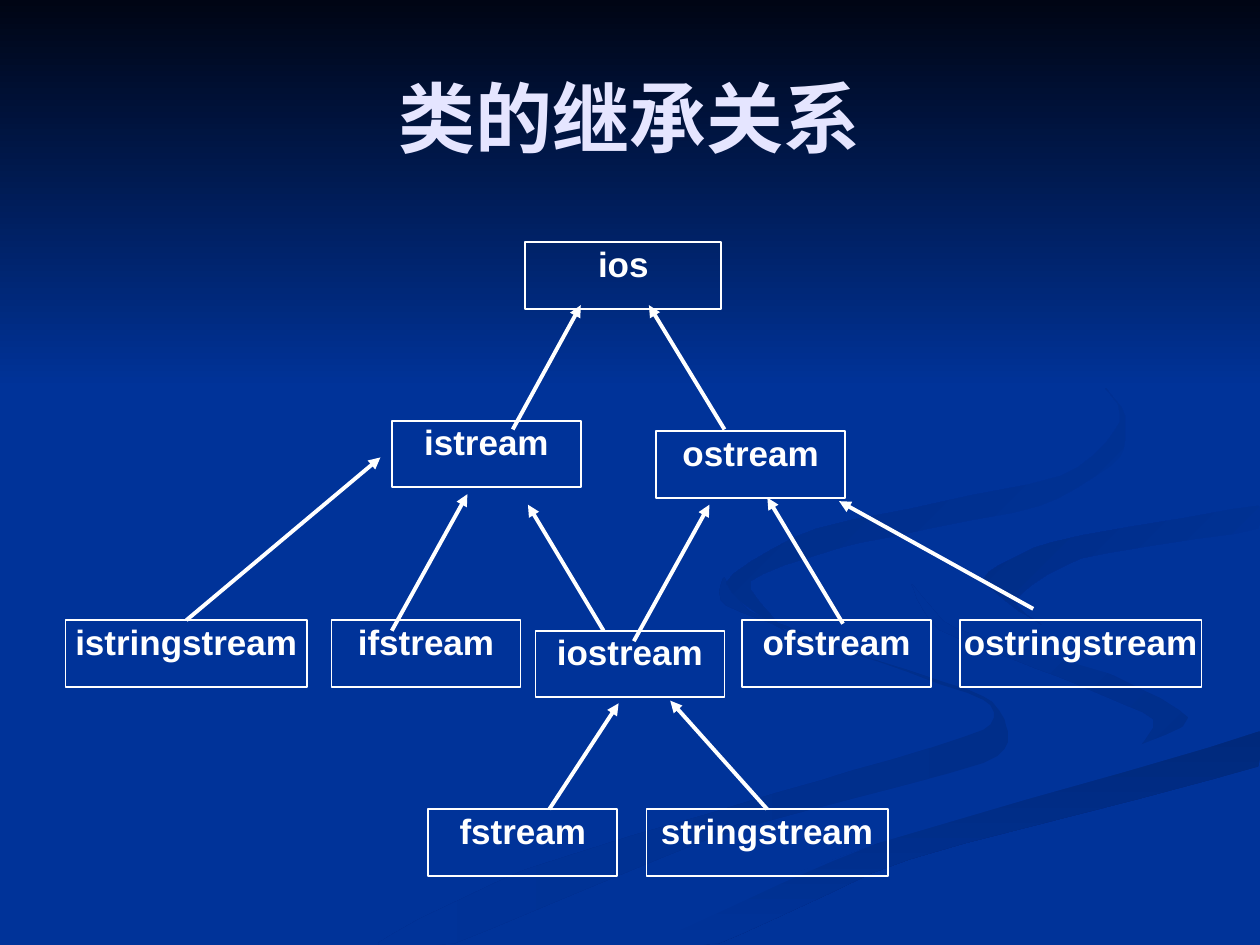
from lxml.etree import SubElement
from pptx import Presentation
from pptx.dml.color import RGBColor
from pptx.enum.shapes import MSO_CONNECTOR as Connector, MSO_SHAPE as Shape
from pptx.enum.text import MSO_ANCHOR as Anchor, PP_ALIGN as Align
from pptx.oxml.ns import qn
from pptx.util import Pt

COLORS = {
    "blue": "003399", "night": "000514", "title": "E5E5FF", "white": "FFFFFF",
    "shade1": "002E8A", "shade2": "00297C", "shade3": "002C85", "shade4": "002B81",
}

# Gradient colours, clockwise angle and guide points of each ribbon, back to front
RIBBONS = [
    (("shade1", "blue"), 180, [
        (562, 398), (491, 374), (428, 349), (414, 330), (415, 346), (489, 374),
        (562, 400), (562, 417), (469, 446), (300, 497), (216, 539), (260, 539),
        (406, 479), (562, 436), (576, 418)]),
    (("shade1", "blue"), 225, [
        (679, 410), (626, 382), (546, 359), (521, 334), (537, 360), (603, 386),
        (659, 411), (644, 436)]),
    (("shade2", "blue"), 90, [
        (362, 539), (411, 539), (520, 491), (719, 438), (719, 418), (550, 466),
        (454, 499)]),
    (("blue", "blue"), 0, [
        (522, 334), (558, 362), (662, 394), (679, 414), (562, 460), (343, 539),
        (374, 538), (501, 482), (719, 418), (719, 387), (611, 362), (563, 331),
        (601, 310), (719, 289), (719, 279), (554, 307)]),
    (("blue", "shade3"), 225, [
        (562, 331), (595, 357), (580, 343), (618, 319), (719, 302), (719, 289),
        (601, 310)]),
    (("blue", "shade4"), 225, [
        (492, 310), (594, 289), (640, 261), (641, 233), (607, 198), (549, 168),
        (626, 215), (640, 241), (606, 272), (467, 302), (415, 333), (448, 360),
        (429, 332)]),
]

# Left and top of each class inside the diagram
CLASSES = {
    "ios": (262.7, 0),
    "istream": (186.5, 102),
    "ostream": (337.5, 108),
    "ifstream": (152, 216),
    "ofstream": (386.6, 216),
    "iostream": (268.5, 222),
    "fstream": (207.3, 324),
    "istringstream": (0, 216),
    "ostringstream": (511.1, 216),
    "stringstream": (331.9, 324),
}
CLASS_HEIGHT = 38

# Start (a point, or the class whose top middle it leaves) and end of each arrow
ARROWS = [
    ((255.5, 107), (294.4, 36)),
    ((376.5, 107), (333.3, 36)),
    ((186.4, 222), (229.6, 144)),
    ((324.7, 228), (367.9, 150)),
    ((444.2, 218), (401, 146)),
    ((307.4, 222), (264.2, 150)),
    ((276.4, 324), (316, 263.5)),
    ("istringstream", (179.9, 123)),
    ((552.9, 209.5), (442, 148)),
    ("stringstream", (345.5, 262)),
]


def color(name):
    return RGBColor.from_string(COLORS[name])


def smooth_outline(points, right, bottom, steps=5, tension=0.3):
    """Return a closed Hermite curve through the points, kept inside the limits."""
    outline = []
    count = len(points)
    for index in range(count):
        before, start, end, after = (points[(index + k) % count] for k in (-1, 0, 1, 2))
        for step in range(steps):
            t = step / steps
            ease = t * t * (3 - 2 * t)
            leave, arrive = t * (1 - t) ** 2, t * t * (t - 1)
            x, y = (a + (b - a) * ease + tension * (leave * (b - p) + arrive * (n - a))
                    for p, a, b, n in zip(before, start, end, after))
            outline.append((min(x, right), min(y, bottom)))
    return outline


def fill_gradient(shape, names, angle):
    """Fill a borderless shape with two colours; the angle runs clockwise."""
    shape.shadow.inherit = False
    shape.line.fill.background()
    shape.fill.gradient()
    shape.fill.gradient_angle = (360 - angle) % 360
    for stop, name in zip(shape.fill.gradient_stops, names):
        stop.color.rgb = color(name)


def add_text(frame, text, font_name, size, color_name):
    paragraph = frame.paragraphs[0]
    paragraph.alignment = Align.CENTER
    run = paragraph.add_run()
    run.text = text
    run.font.name = font_name
    run.font.size = Pt(size)
    run.font.bold = True
    run.font.color.rgb = color(color_name)


def draw_backdrop(slide, left, top, width, height, band_height):
    """Draw the ribbons and the dark top band behind everything else."""
    slide.background.fill.solid()
    slide.background.fill.fore_color.rgb = color("blue")
    group = slide.shapes.add_group_shape()
    for names, angle, points in RIBBONS:
        outline = smooth_outline(points, width, height)
        builder = group.shapes.build_freeform(*outline[0], scale=Pt(1))
        builder.add_line_segments(outline[1:], close=True)
        fill_gradient(builder.convert_to_shape(Pt(left), Pt(top)), names, angle)
    band = group.shapes.add_shape(
        Shape.RECTANGLE, Pt(left), Pt(top), Pt(width), Pt(band_height))
    fill_gradient(band, ("night", "blue"), 90)
    slide.shapes.element.insert(2, group.element)


def draw_title(slide, left, top, width, height):
    title = slide.shapes.title
    title.left, title.top, title.width, title.height = map(Pt, (left, top, width, height))
    title.text_frame.vertical_anchor = Anchor.MIDDLE
    add_text(title.text_frame, "类的继承关系", "Times New Roman", 44, "title")


def class_width(name):
    if name == "ios":
        return 112
    return 138 if "string" in name else 108


def add_class(slide, name, left, top):
    box = slide.shapes.add_shape(
        Shape.RECTANGLE, Pt(left), Pt(top), Pt(class_width(name)), Pt(CLASS_HEIGHT))
    box.shadow.inherit = False
    box.fill.background()
    box.line.color.rgb = color("white")
    box.line.width = Pt(1)
    frame = box.text_frame
    frame.word_wrap = True
    frame.vertical_anchor = Anchor.TOP
    frame.margin_left = frame.margin_right = frame.margin_top = frame.margin_bottom = 0
    add_text(frame, name, "Arial", 20, "white")
    return box


def add_arrow(slide, start, end):
    arrow = slide.shapes.add_connector(Connector.STRAIGHT, *map(Pt, (*start, *end)))
    arrow.line.color.rgb = color("white")
    arrow.line.width = Pt(2.25)
    properties = arrow.element.spPr
    SubElement(properties.find(qn("a:ln")), qn("a:tailEnd"), type="triangle")
    SubElement(properties, qn("a:effectLst"))
    return arrow


def draw_hierarchy(slide, left, top):
    boxes = {name: add_class(slide, name, left + x, top + y)
             for name, (x, y) in CLASSES.items()}
    for start, (end_x, end_y) in ARROWS:
        end = (left + end_x, top + end_y)
        if start in boxes:
            add_arrow(slide, end, end).begin_connect(boxes[start], 0)
        else:
            add_arrow(slide, (left + start[0], top + start[1]), end)


def main():
    presentation = Presentation()
    presentation.slide_width, presentation.slide_height = Pt(720), Pt(540)
    slide = presentation.slides.add_slide(presentation.slide_layouts[5])
    draw_backdrop(slide, 0, 0, 720, 540, 222)
    draw_title(slide, 36, 21.6, 648, 90)
    draw_hierarchy(slide, 37.5, 138.4)
    presentation.save("out.pptx")


if __name__ == "__main__":
    main()
